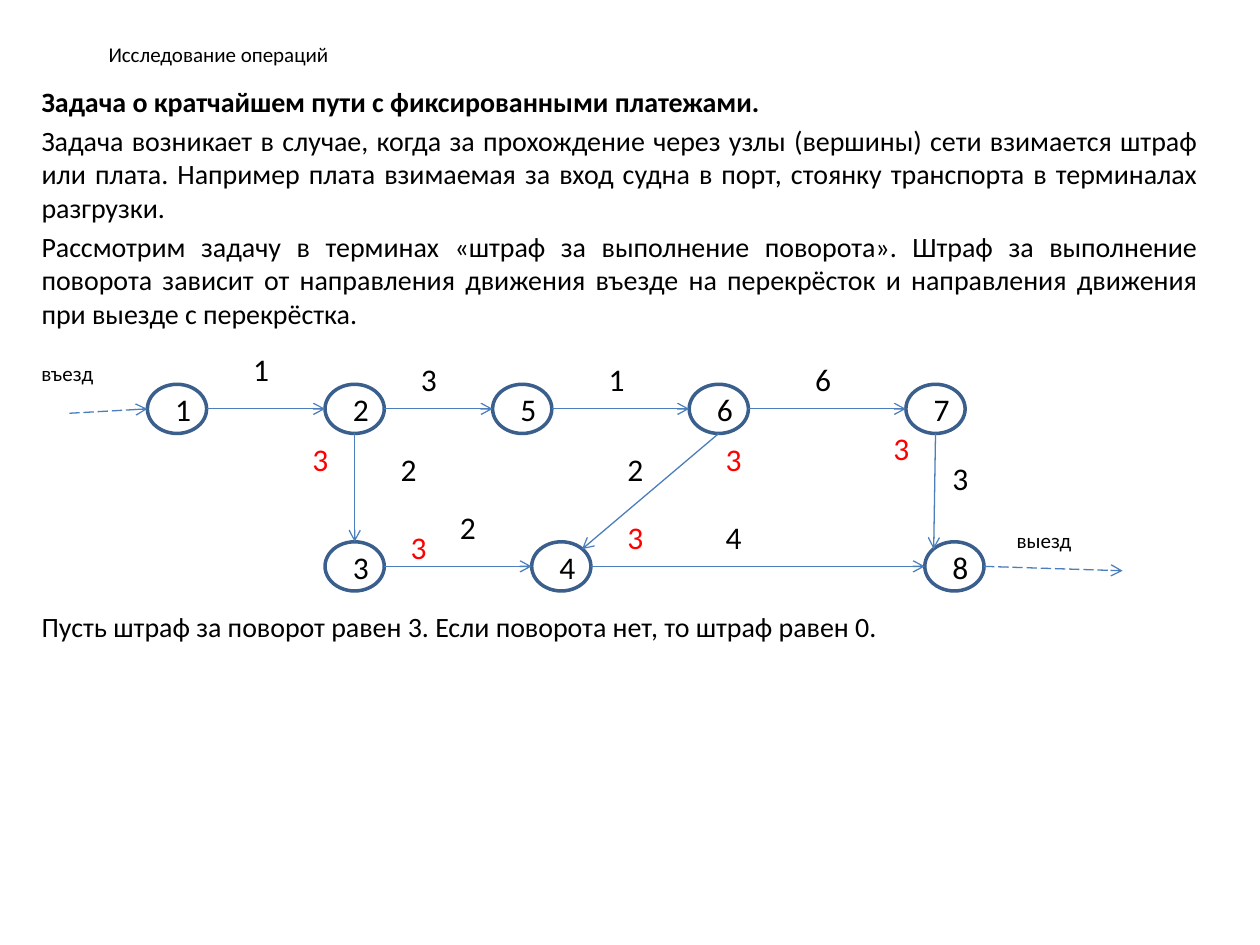
from lxml import etree
from pptx import Presentation
from pptx.dml.color import RGBColor
from pptx.enum.dml import MSO_LINE
from pptx.enum.shapes import MSO_CONNECTOR, MSO_SHAPE
from pptx.enum.text import MSO_ANCHOR, MSO_AUTO_SIZE, PP_ALIGN
from pptx.oxml.ns import qn
from pptx.util import Inches, Pt

OVAL, STRAIGHT = MSO_SHAPE.OVAL, MSO_CONNECTOR.STRAIGHT
DASH = MSO_LINE.LONG_DASH
CENTER, JUSTIFY = PP_ALIGN.CENTER, PP_ALIGN.JUSTIFY
MIDDLE, TOP = MSO_ANCHOR.MIDDLE, MSO_ANCHOR.TOP
NO_FIT = MSO_AUTO_SIZE.NONE
FONT, BLACK, RED, NODE_LINE, EDGE_LINE = "Calibri", "000000", "FF0000", "3A5F8C", "4B7EBC"

# Content
TITLE = "Исследование операций"
# text, bold, space before in points (the last gap holds the network)
BODY = [
    ("Задача о кратчайшем пути с фиксированными платежами.", True, 0),
    ("Задача возникает в случае, когда за прохождение через узлы (вершины) сети "
     "взимается штраф или плата. Например плата взимаемая за вход судна в порт, "
     "стоянку транспорта в терминалах разгрузки.", False, 3),
    ("Рассмотрим задачу в терминах «штраф за выполнение поворота». Штраф за "
     "выполнение поворота зависит от направления движения въезде на перекрёсток "
     "и направления движения при выезде с перекрёстка.", False, 3),
    ("Пусть штраф за поворот равен 3. Если поворота нет, то штраф равен 0.", False, 160),
]
NODE_W, NODE_H = 0.47, 0.39
ROW_1, ROW_2 = 3.05, 4.3
NODES = {
    "1": (1.17, ROW_1), "2": (2.58, ROW_1), "5": (3.91, ROW_1), "6": (5.47, ROW_1),
    "7": (7.19, ROW_1), "3": (2.58, ROW_2), "4": (4.22, ROW_2), "8": (7.34, ROW_2),
}
# Points on a node's outline, as shares of its width and height
SIDES = {"left": (0, 0.5), "right": (1, 0.5), "top": (0.5, 0), "bottom": (0.5, 1),
         "top left": (0.15, 0.15), "top right": (0.85, 0.15)}
EDGES = [
    ("1", "right", "2", "left"), ("2", "right", "5", "left"),
    ("5", "right", "6", "left"), ("6", "right", "7", "left"),
    ("2", "bottom", "3", "top"), ("3", "right", "4", "left"),
    ("4", "right", "8", "left"), ("7", "bottom", "8", "top left"),
    ("6", "bottom", "4", "top right"),
]
ENTRY_START, EXIT_END = (0.55, 3.28), (8.91, 4.53)
GATES = [("въезд", 0.23, 2.81), ("выезд", 7.97, 4.14)]
LENGTHS = [("1", 1.95, 2.73), ("3", 3.28, 2.81), ("1", 4.77, 2.81), ("6", 6.41, 2.81),
           ("2", 3.12, 3.52), ("2", 4.92, 3.52), ("2", 3.59, 3.98), ("4", 5.7, 4.06),
           ("3", 7.5, 3.59)]
PENALTIES = [("3", 2.42, 3.44), ("3", 3.2, 4.14), ("3", 5.7, 3.44), ("3", 7.03, 3.36),
             ("3", 4.92, 4.06)]


def rgb(value):
    return RGBColor.from_string(value)


def style(p, size, color=BLACK, bold=False):
    for r in p.runs:
        r.font.name, r.font.size, r.font.bold = FONT, Pt(size), bold
        r.font.color.rgb = rgb(color)


def place(sp, x, y, w, h):
    sp.left, sp.top, sp.width, sp.height = (Inches(v) for v in (x, y, w, h))


def add_label(text, x, y, w, h, size, color=BLACK, inset=0.1):
    sp = slide.shapes.add_textbox(Inches(x), Inches(y), Inches(w), Inches(h))
    tf = sp.text_frame
    tf.word_wrap = True
    tf.margin_left, tf.margin_right = Inches(inset), 0
    tf.text = text
    style(tf.paragraphs[0], size, color)


def add_digit(text, x, y, color=BLACK):
    add_label(text, x, y, 0.2, 0.4, 18, color, inset=0.06)


def add_node(x, y):
    sp = slide.shapes.add_shape(OVAL, Inches(x), Inches(y), Inches(NODE_W), Inches(NODE_H))
    sp.shadow.inherit = False
    sp.fill.background()
    sp.line.color.rgb = rgb(NODE_LINE)
    sp.line.width = Pt(2)


def anchor(node, side):
    x, y = NODES[node]
    fx, fy = SIDES[side]
    return x + fx * NODE_W, y + fy * NODE_H


def add_arrow(start, end, dash=None):
    line = slide.shapes.add_connector(STRAIGHT, *(Inches(v) for v in start + end))
    line.line.color.rgb = rgb(EDGE_LINE)
    line.line.width = Pt(0.75)
    if dash:
        line.line.dash_style = dash
    ln = line.line._get_or_add_ln()
    etree.SubElement(ln, qn("a:tailEnd"), type="arrow")
    etree.SubElement(line._element.spPr, qn("a:effectLst"))


prs = Presentation()
prs.slide_width, prs.slide_height = Inches(10), Inches(7.5)
slide = prs.slides.add_slide(prs.slide_layouts[0])

# Title
title = slide.shapes.title
place(title, 0.47, 0.23, 2.53, 0.4)
tf = title.text_frame
tf.text = TITLE
tf.auto_size, tf.vertical_anchor = NO_FIT, MIDDLE
tf.paragraphs[0].alignment = CENTER
style(tf.paragraphs[0], 12)

# Body
body = slide.placeholders[1]
place(body, 0.23, 0.62, 9.38, 6.64)
tf = body.text_frame
tf.text = "\n".join(text for text, _, _ in BODY)
tf.auto_size, tf.vertical_anchor = NO_FIT, TOP
for p, (_, bold, gap) in zip(tf.paragraphs, BODY):
    p.alignment, p.space_before = JUSTIFY, Pt(gap)
    style(p, 16, bold=bold)

# Network: nodes, then arrows
for x, y in NODES.values():
    add_node(x, y)
for source, out_side, target, in_side in EDGES:
    add_arrow(anchor(source, out_side), anchor(target, in_side))
add_arrow(ENTRY_START, anchor("1", "left"), DASH)
add_arrow(anchor("8", "right"), EXIT_END, DASH)

# Labels
for number, (x, y) in NODES.items():
    add_digit(number, x + 0.16, y)
for text, x, y in GATES:
    add_label(text, x, y, 0.78, 0.3, 12)
for text, x, y in LENGTHS:
    add_digit(text, x, y)
for text, x, y in PENALTIES:
    add_digit(text, x, y, RED)

prs.save("out.pptx")
